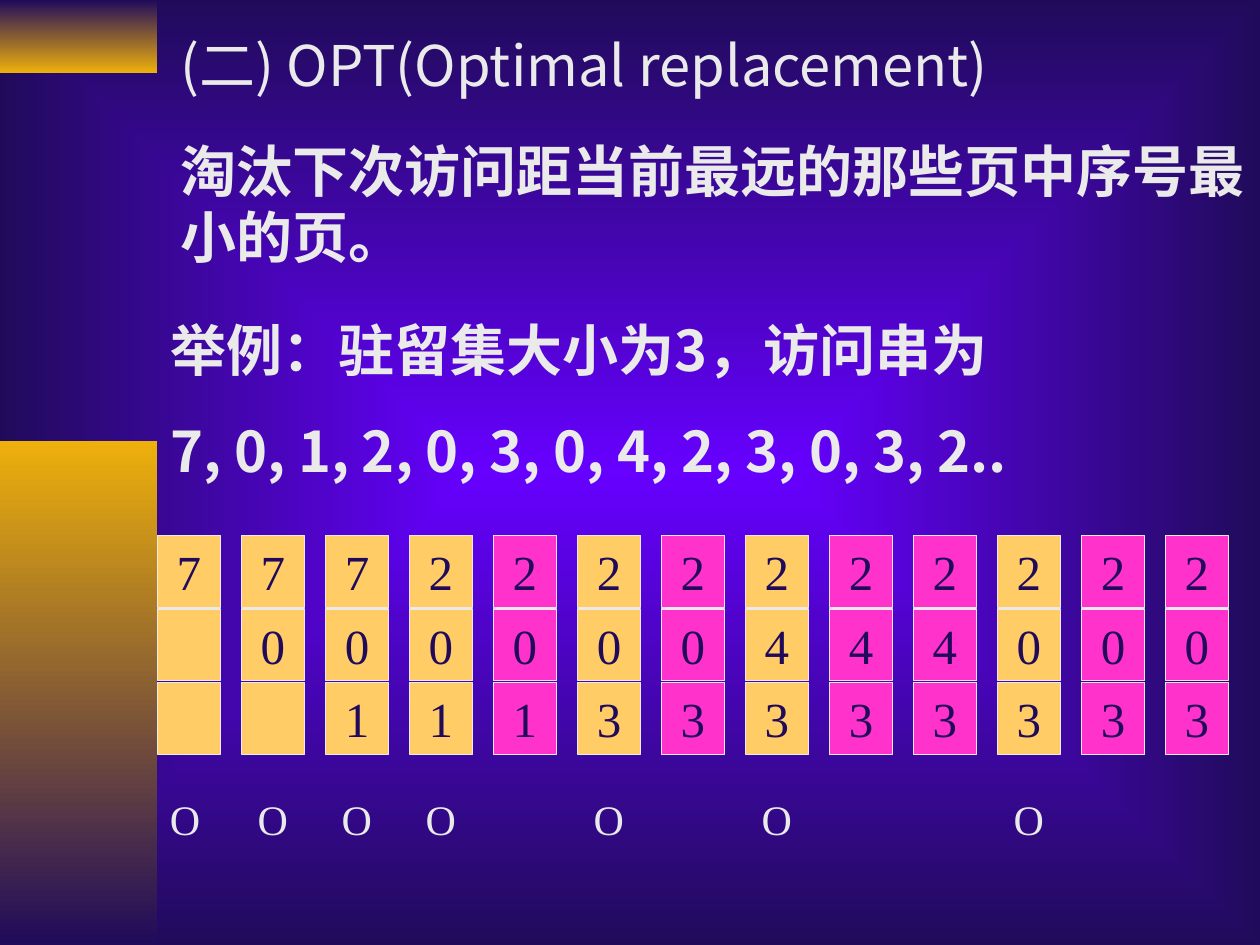
from pptx import Presentation, util as u
from pptx.dml.color import RGBColor
from pptx.enum import shapes, text
from pptx.oxml.ns import qn
from lxml import etree

HEAD = "(二) OPT(Optimal replacement)"
RULE = ["淘汰下次访问距当前最远的那些页中序号最小的页。"]
CASE = ["举例：驻留集大小为3，访问串为", "7, 0, 1, 2, 0, 3, 0, 4, 2, 3, 0, 3, 2.."]
ROWS = ["7772222222222", " 000000444000", "  11133333333"]
FAULTS = [0, 1, 2, 3, 5, 7, 10]
MARK = "O"

THEME = {
    "sans": "Noto Sans CJK SC", "serif": "Times New Roman",
    "dark": "200B5B", "glow": "6600FF", "gold": "EEB00B", "pale": "EAEAEA",
    "miss": "FFCC66", "hit": "FF33CC",
    "body": 32, "cell": 28, "mark": 24, "lead": 37.7, "gap": 20,
}
WIDE, HIGH = 10, 7.5
SIDE = WIDE / 8
STEP_X, STEP_Y = WIDE / 15, HIGH * 7 / 90
CELL_W, CELL_H = WIDE / 20, 0.57
GRID_Y = 4.25


def tint(name):
    return RGBColor.from_string(THEME[name])


def place(box, left, top, width, height):
    box.left, box.top, box.width, box.height = map(u.Inches, (left, top, width, height))


def blend(fill, start, end):
    fill.gradient()
    for stop, name, spot in zip(fill.gradient_stops, (start, end), (0, 1)):
        stop.color.rgb, stop.position = tint(name), spot


def write(par, words, size, font, color, bold=False):
    run = par.add_run()
    run.text = words
    run.font.size, run.font.name, run.font.bold = u.Pt(size), font, bold
    run.font.color.rgb = tint(color)
    etree.SubElement(run.font._element, qn("a:ea"), typeface=font)


def fill_text(box, lines, bold):
    frame = box.text_frame
    frame.word_wrap = True
    frame.auto_size = text.MSO_AUTO_SIZE.NONE
    frame.vertical_anchor = text.MSO_ANCHOR.TOP
    frame.margin_top = u.Inches(0.09)
    for i, line in enumerate(lines):
        par = frame.add_paragraph() if i else frame.paragraphs[0]
        props = par._p.get_or_add_pPr()
        props.set("marL", "0")
        props.set("indent", "0")
        etree.SubElement(props, qn("a:buNone"))
        par.alignment = text.PP_ALIGN.LEFT
        par.line_spacing = u.Pt(THEME["lead"])
        par.space_before = u.Pt(THEME["gap"] if i else 0)
        write(par, line, THEME["body"], THEME["sans"], "pale", bold)


def add_rect(slide, left, top, width, height):
    box = slide.shapes.add_shape(shapes.MSO_SHAPE.RECTANGLE, 0, 0, 0, 0)
    place(box, left, top, width, height)
    box.shadow.inherit = False
    return box


def add_cell(slide, col, row, digit):
    box = add_rect(slide, SIDE + col * STEP_X, GRID_Y + row * STEP_Y, CELL_W, CELL_H)
    box.fill.solid()
    box.fill.fore_color.rgb = tint("miss" if col in FAULTS else "hit")
    box.line.color.rgb, box.line.width = tint("pale"), u.Pt(0.75)
    if digit.strip():
        par = box.text_frame.paragraphs[0]
        par.alignment = text.PP_ALIGN.CENTER
        write(par, digit, THEME["cell"], THEME["serif"], "dark")


def add_marks(slide):
    box = slide.shapes.add_textbox(0, 0, 0, 0)
    place(box, SIDE, 6.25, WIDE - SIDE - 0.08, 0.5)
    box.text_frame.word_wrap = True
    par = box.text_frame.paragraphs[0]
    tabs = etree.SubElement(par._p.get_or_add_pPr(), qn("a:tabLst"))
    for col in FAULTS[1:]:
        etree.SubElement(tabs, qn("a:tab"), pos=str(u.Inches(col * STEP_X + 0.03)), algn="l")
    write(par, "\t".join(MARK for _ in FAULTS), THEME["mark"], THEME["serif"], "pale")


def paint_back(slide):
    blend(slide.background.fill, "glow", "dark")
    line = next(slide.element.iter(qn("a:lin")))
    grad = line.getparent()
    grad.remove(line)
    shade = etree.SubElement(grad, qn("a:path"), path="rect")
    etree.SubElement(shade, qn("a:fillToRect"), l="50000", t="50000", r="50000", b="50000")


def main():
    deck = Presentation()
    deck.slide_width, deck.slide_height = u.Inches(WIDE), u.Inches(HIGH)
    slide = deck.slides.add_slide(deck.slide_layouts[3])
    paint_back(slide)

    for top, height, start, end in ((0, 0.58, "dark", "gold"), (3.5, 4, "gold", "dark")):
        bar = add_rect(slide, 0, top, SIDE, height)
        blend(bar.fill, start, end)
        bar.fill.gradient_angle = 270
        bar.line.fill.background()

    title, rule, case = slide.placeholders
    for box, lines, left, top, height, bold in (
        (title, [HEAD], 1.33, 0.16, 1.17, False),
        (rule, RULE, 1.33, 1, 1.17, True),
        (case, CASE, SIDE, 2.42, 1.45, True),
    ):
        place(box, left, top, WIDE - left, height)
        fill_text(box, lines, bold)

    for row, digits in enumerate(ROWS):
        for col, digit in enumerate(digits):
            add_cell(slide, col, row, digit)
    add_marks(slide)
    deck.save("out.pptx")


if __name__ == "__main__":
    main()
